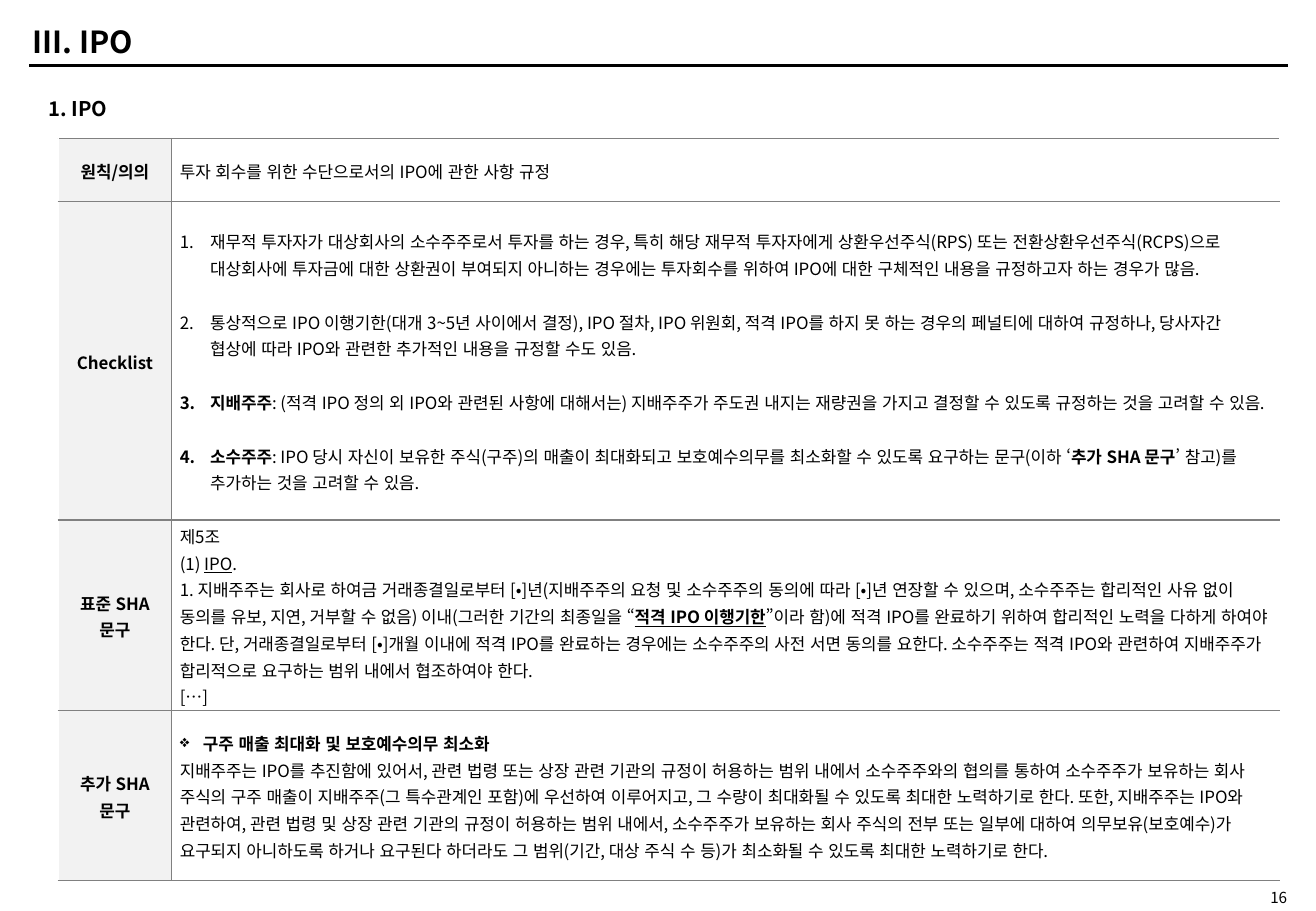
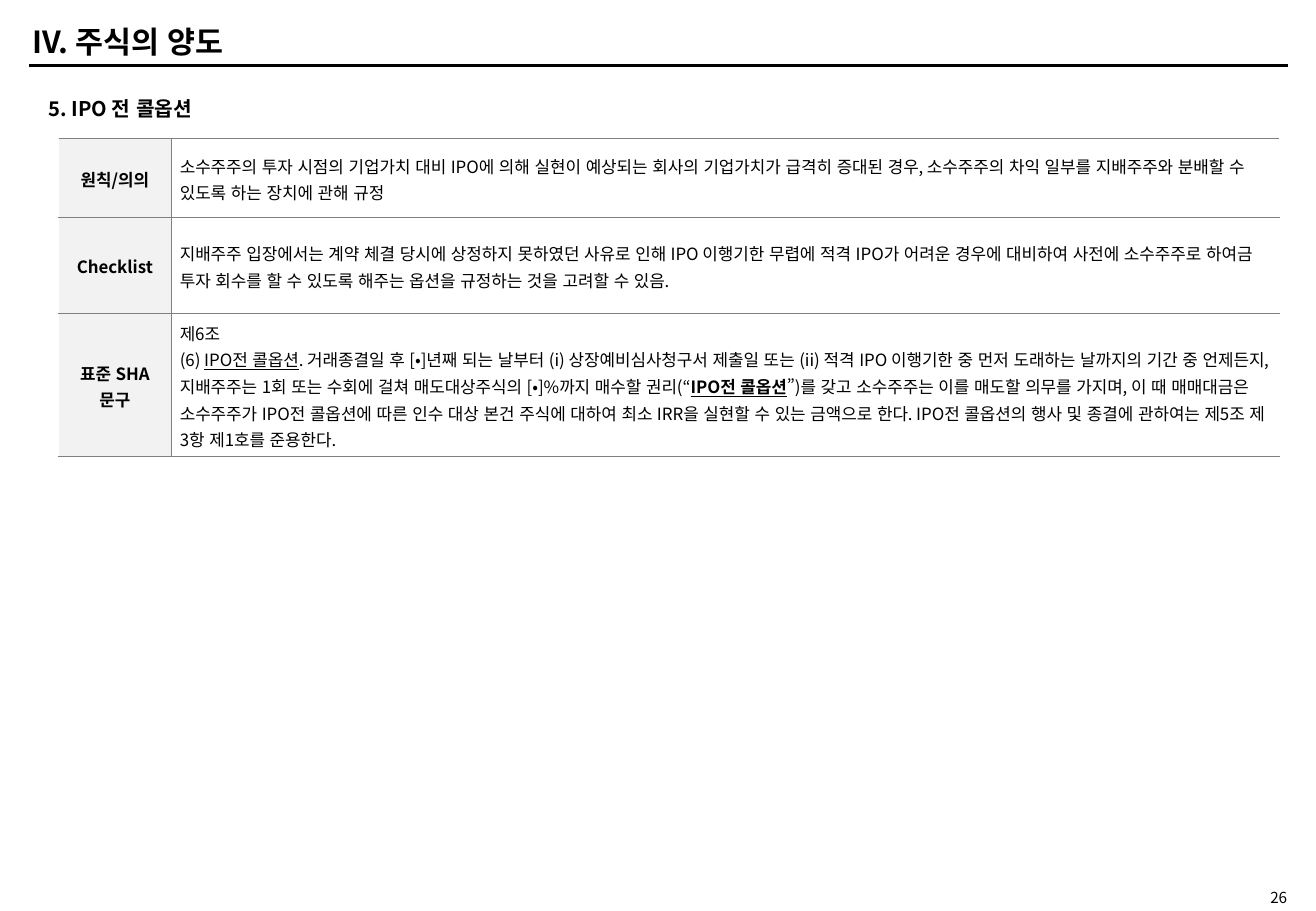
from typing import NamedTuple

from lxml.etree import SubElement
from pptx import Presentation
from pptx.dml.color import RGBColor
from pptx.enum.lang import MSO_LANGUAGE_ID
from pptx.enum.shapes import MSO_CONNECTOR
from pptx.enum.text import MSO_ANCHOR, PP_ALIGN
from pptx.oxml.ns import qn
from pptx.util import Inches, Pt

INK = RGBColor(0x00, 0x00, 0x00)
GRAY = RGBColor(0x80, 0x80, 0x80)
PALE = RGBColor(0xF2, 0xF2, 0xF2)
WHITE = RGBColor(0xFF, 0xFF, 0xFF)
FONT = "Noto Sans CJK KR"
BOLD, LINE = "bold", "underline"
BOTH = BOLD + LINE
NUMBER, STAR = "1.", "❖"


class Para(NamedTuple):
    """Texts are plain strings or (text, style) pairs."""
    texts: list
    mark: str = ""
    gap: int = 0


class Deck:
    def __init__(self):
        self.prs = Presentation()
        self.prs.slide_width = Inches(10.83)
        self.prs.slide_height = Inches(7.5)
        self.slide = None

    def wide(self, share):
        """Percent of the slide width."""
        return round(self.prs.slide_width * share / 100)

    def high(self, share):
        """Percent of the slide height."""
        return round(self.prs.slide_height * share / 100)

    def page(self, title, head, number):
        self.slide = self.prs.slides.add_slide(self.prs.slide_layouts[6])
        self.rule(2.22, 97.88, 7.2)
        self.label(number, (90.03, 97.47, 8.68, 2), 9, pad=0,
                   align=PP_ALIGN.RIGHT)
        self.label(title, (1.57, 2, 47.18, 5.07), 18, True)
        self.label(head, (2.77, 9.87, 56.05, 4), 12, True,
                   anchor=MSO_ANCHOR.TOP)

    def rule(self, start, end, top):
        y = self.high(top)
        line = self.slide.shapes.add_connector(
            MSO_CONNECTOR.STRAIGHT, self.wide(start), y, self.wide(end), y)
        line.line.color.rgb = INK
        line.line.width = Pt(2)
        SubElement(line._element.spPr, qn("a:effectLst"))

    def style(self, run, size, bold=False, under=False):
        font = run.font
        font.name, font.size, font.bold = FONT, Pt(size), bold
        font.underline = under
        font.color.rgb = INK
        font.language_id = MSO_LANGUAGE_ID.KOREAN
        SubElement(run._r.get_or_add_rPr(), qn("a:ea"), typeface=FONT)

    def label(self, text, area, size, bold=False, pad=0.05,
              align=PP_ALIGN.LEFT, anchor=MSO_ANCHOR.MIDDLE):
        x, y, w, h = area
        frame = self.slide.shapes.add_textbox(
            self.wide(x), self.high(y), self.wide(w), self.high(h)).text_frame
        frame.word_wrap = True
        frame.vertical_anchor = anchor
        frame.margin_top = frame.margin_bottom = Inches(pad)
        frame.text = text
        frame.paragraphs[0].alignment = align
        self.style(frame.paragraphs[0].runs[0], size, bold)

    def mark(self, para, sign):
        """Give the paragraph a hanging number or bullet."""
        props = para._p.get_or_add_pPr()
        hang = Inches(0.25 if sign == NUMBER else 0.19)
        props.set("marL", str(hang))
        props.set("indent", str(-hang))
        if sign == NUMBER:
            SubElement(props, qn("a:buAutoNum"), type="arabicPeriod")
        else:
            SubElement(props, qn("a:buChar"), char=sign)

    def edge(self, cell, sides):
        props = cell._tc.get_or_add_tcPr()
        for side in sides:
            line = SubElement(props, qn("a:ln" + side), w=str(Pt(1)))
            fill = SubElement(line, qn("a:solidFill"))
            SubElement(fill, qn("a:srgbClr"), val=str(GRAY))

    def cell(self, cell, paras, fill, sides, align=PP_ALIGN.LEFT, bold=False):
        self.edge(cell, sides)
        cell.fill.solid()
        cell.fill.fore_color.rgb = fill
        cell.vertical_anchor = MSO_ANCHOR.MIDDLE
        cell.margin_left = cell.margin_right = Inches(0.07)
        cell.margin_top = cell.margin_bottom = 0
        frame = cell.text_frame
        for i, item in enumerate(paras):
            para = frame.add_paragraph() if i else frame.paragraphs[0]
            if item.mark:
                self.mark(para, item.mark)
            para.alignment = align
            para.line_spacing = 1.1
            para.space_before = Pt(item.gap)
            for entry in item.texts:
                text, look = (entry, "") if isinstance(entry, str) else entry
                for j, piece in enumerate(text.split("\n")):
                    if j:
                        para.add_line_break()
                    run = para.add_run()
                    run.text = piece
                    self.style(run, 10, bold or BOLD in look, LINE in look)

    def table(self, rows):
        """Rows are (height share, label, paragraphs)."""
        cols = (8.59, 84.21)
        grid = self.slide.shapes.add_table(
            len(rows), 2, self.wide(4.43), self.high(15.2),
            self.wide(sum(cols)), self.high(sum(r[0] for r in rows))).table
        grid.first_row = grid.horz_banding = False
        for col, share in zip(grid.columns, cols):
            col.width = self.wide(share)
        for row, (share, name, paras) in zip(grid.rows, rows):
            row.height = self.high(share)
            self.cell(row.cells[0], [Para([name])], PALE, "RTB",
                      PP_ALIGN.CENTER, True)
            self.cell(row.cells[1], paras, WHITE, "LTB")


def main():
    deck = Deck()
    deck.page("III. IPO", "1. IPO", "16")
    deck.table([
        (6.93, "원칙/의의", [
            Para(["투자 회수를 위한 수단으로서의 IPO에 관한 사항 규정"])]),
        (34.93, "Checklist", [
            Para(["재무적 투자자가 대상회사의 소수주주로서 투자를 하는 경우, 특히 해당 재무적 "
                  "투자자에게 상환우선주식(RPS) 또는 전환상환우선주식(RCPS)으로 대상회사에 "
                  "투자금에 대한 상환권이 부여되지 아니하는 경우에는 투자회수를 위하여 IPO에 대한 "
                  "구체적인 내용을 규정하고자 하는 경우가 많음."], NUMBER),
            Para(["통상적으로 IPO 이행기한(대개 3~5년 사이에서 결정), IPO 절차, IPO 위원회, "
                  "적격 IPO를 하지 못 하는 경우의 페널티에 대하여 규정하나, 당사자간 협상에 따라 "
                  "IPO와 관련한 추가적인 내용을 규정할 수도 있음."], NUMBER, 16),
            Para([("지배주주", BOLD),
                  ": (적격 IPO 정의 외 IPO와 관련된 사항에 대해서는) 지배주주가 주도권 내지는 "
                  "재량권을 가지고 결정할 수 있도록 규정하는 것을 고려할 수 있음."], NUMBER, 16),
            Para([("소수주주", BOLD),
                  ": IPO 당시 자신이 보유한 주식(구주)의 매출이 최대화되고 보호예수의무를 "
                  "최소화할 수 있도록 요구하는 문구(이하 ‘",
                  ("추가 SHA 문구", BOLD),
                  "’ 참고)를 추가하는 것을 고려할 수 있음."], NUMBER, 16)]),
        (20.93, "표준 SHA\n문구", [
            Para(["제5조"]),
            Para(["(1) ", ("IPO", LINE), "."]),
            Para(["1. 지배주주는 회사로 하여금 거래종결일로부터 [•]년(지배주주의 요청 및 "
                  "소수주주의 동의에 따라 [•]년 연장할 수 있으며, 소수주주는 합리적인 사유 없이 "
                  "동의를 유보, 지연, 거부할 수 없음) 이내(그러한 기간의 최종일을 “",
                  ("적격 IPO 이행기한", BOTH),
                  "”이라 함)에 적격 IPO를 완료하기 위하여 합리적인 노력을 다하게 하여야 한다. "
                  "단, 거래종결일로부터 [•]개월 이내에 적격 IPO를 완료하는 경우에는 소수주주의 "
                  "사전 서면 동의를 요한다. 소수주주는 적격 IPO와 관련하여 지배주주가 합리적으로 "
                  "요구하는 범위 내에서 협조하여야 한다."]),
            Para(["[…]"])]),
        (18.67, "추가 SHA 문구", [
            Para([("구주 매출 최대화 및 보호예수의무 최소화", BOLD)], STAR),
            Para(["지배주주는 IPO를 추진함에 있어서, 관련 법령 또는 상장 관련 기관의 규정이 "
                  "허용하는 범위 내에서 소수주주와의 협의를 통하여 소수주주가 보유하는 회사 주식의 "
                  "구주 매출이 지배주주(그 특수관계인 포함)에 우선하여 이루어지고, 그 수량이 "
                  "최대화될 수 있도록 최대한 노력하기로 한다. 또한, 지배주주는 IPO와 관련하여, "
                  "관련 법령 및 상장 관련 기관의 규정이 허용하는 범위 내에서, 소수주주가 보유하는 "
                  "회사 주식의 전부 또는 일부에 대하여 의무보유(보호예수)가 요구되지 아니하도록 "
                  "하거나 요구된다 하더라도 그 범위(기간, 대상 주식 수 등)가 최소화될 수 있도록 "
                  "최대한 노력하기로 한다."])]),
    ])

    deck.page("IV. 주식의 양도", "5. IPO 전 콜옵션", "26")
    deck.table([
        (8.67, "원칙/의의", [
            Para(["소수주주의 투자 시점의 기업가치 대비 IPO에 의해 실현이 예상되는 회사의 "
                  "기업가치가 급격히 증대된 경우, 소수주주의 차익 일부를 지배주주와 분배할 수 "
                  "있도록 하는 장치에 관해 규정"])]),
        (10.53, "Checklist", [
            Para(["지배주주 입장에서는 계약 체결 당시에 상정하지 못하였던 사유로 인해 IPO "
                  "이행기한 무렵에 적격 IPO가 어려운 경우에 대비하여 사전에 소수주주로 하여금 "
                  "투자 회수를 할 수 있도록 해주는 옵션을 규정하는 것을 고려할 수 있음."])]),
        (15.73, "표준 SHA\n문구", [
            Para(["제6조"]),
            Para(["(6) ", ("IPO전 콜옵션", LINE),
                  ". 거래종결일 후 [•]년째 되는 날부터 (i) 상장예비심사청구서 제출일 또는 (ii) "
                  "적격 IPO 이행기한 중 먼저 도래하는 날까지의 기간 중 언제든지, 지배주주는 1회 "
                  "또는 수회에 걸쳐 매도대상주식의 [•]%까지 매수할 권리(“",
                  ("IPO전 콜옵션", BOTH),
                  "”)를 갖고 소수주주는 이를 매도할 의무를 가지며, 이 때 매매대금은 소수주주가 "
                  "IPO전 콜옵션에 따른 인수 대상 본건 주식에 대하여 최소 IRR을 실현할 수 있는 "
                  "금액으로 한다. IPO전 콜옵션의 행사 및 종결에 관하여는 제5조 제3항 제1호를 "
                  "준용한다."])]),
    ])
    deck.prs.save("out.pptx")


if __name__ == "__main__":
    main()
